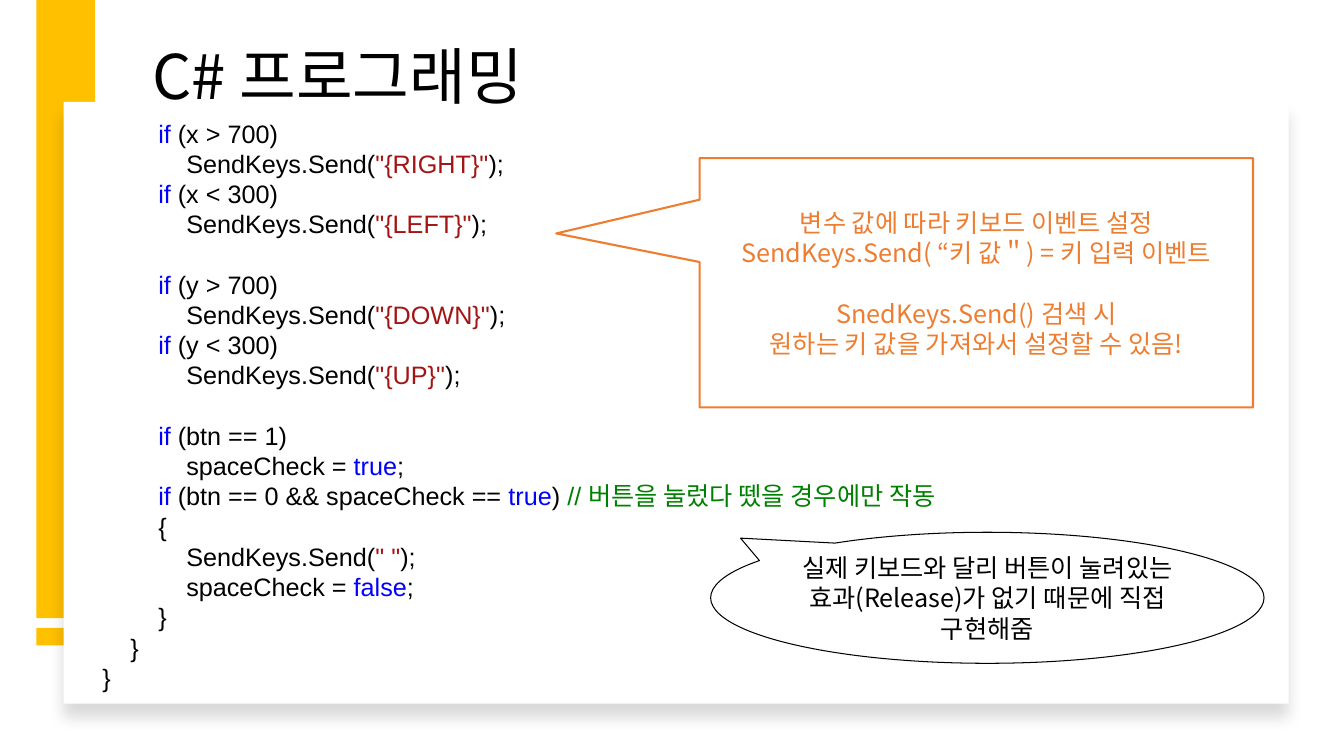
import pptx
import pptx.dml.color
import pptx.enum.shapes
import pptx.enum.text
import pptx.oxml
import pptx.oxml.ns
import pptx.util
from lxml import etree

Pt = pptx.util.Pt
Kind = pptx.enum.shapes.MSO_SHAPE
Align = pptx.enum.text.PP_ALIGN
Anchor = pptx.enum.text.MSO_ANCHOR
qn = pptx.oxml.ns.qn

HANGUL = "Noto Sans CJK KR"
BLACK, WHITE, GOLD, ORANGE = "000000", "FFFFFF", "FFC000", "ED7D31"
BLUE, RED, GREEN = "0000FF", "A31515", "008000"
LINE = 21.6  # height of one text line
STEP = 20  # indent of one code level


def color(code):
    return pptx.dml.color.RGBColor.from_string(code)


def tint(part):
    """Colour of one part of a code line."""
    if part in ("if", "true", "false"):
        return BLUE
    if part.startswith('"'):
        return RED
    return GREEN if part.startswith("//") else BLACK


class Deck:
    """Holds the text style and the current slide."""

    def __init__(self, wide, high):
        self.show = pptx.Presentation()
        self.show.slide_width, self.show.slide_height = Pt(wide), Pt(high)
        self.slide = self.show.slides.add_slide(self.show.slide_layouts[6])
        self.frame = {"word_wrap": True, "vertical_anchor": Anchor.MIDDLE}
        self.size = 18

    def shape(self, kind, box, fill=None, line=None, width=1.0, tip=()):
        item = self.slide.shapes.add_shape(kind, *map(Pt, box))
        item.shadow.inherit = False
        if fill:
            item.fill.solid()
            item.fill.fore_color.rgb = color(fill)
        else:
            item.fill.background()
        if line:
            item.line.color.rgb = color(line)
            item.line.width = Pt(width)
        else:
            item.line.fill.background()
        for spot, value in enumerate(tip):
            item.adjustments[spot] = value
        return item

    def card(self, box, fill):
        item = self.shape(Kind.RECTANGLE, box, fill)
        glow = item._element.spPr.find(qn("a:effectLst"))
        shade = etree.SubElement(
            glow, qn("a:outerShdw"), blurRad=str(Pt(11)), dist=str(Pt(10)),
            dir="5400000", algn="t", rotWithShape="0")
        tone = etree.SubElement(shade, qn("a:srgbClr"), val=BLACK)
        etree.SubElement(tone, qn("a:alpha"), val="15000")

    def text(self, box):
        return self.slide.shapes.add_textbox(*map(Pt, box))

    def label(self, item, rows, font, size=None, frame=None, **form):
        """Rows are (indent, [(text, colour), ...]); one with no runs is a gap."""
        body, gap, first = item.text_frame, 0, True
        for name, value in {**self.frame, **(frame or {})}.items():
            setattr(body, name, value)
        for indent, runs in rows:
            if not runs:
                gap = LINE
                continue
            para = body.paragraphs[0] if first else body.add_paragraph()
            looks = {"line_spacing": Pt(LINE), "space_before": Pt(gap), **form}
            for name, value in looks.items():
                setattr(para, name, value)
            para._p.get_or_add_pPr().set("marL", str(Pt(indent)))
            for words, tone in runs:
                run = para.add_run()
                run.text = words
                look = {"name": font, "size": Pt(size or self.size)}
                for name, value in look.items():
                    setattr(run.font, name, value)
                run.font.color.rgb = color(tone)
                etree.SubElement(run._r.get_or_add_rPr(), qn("a:ea"), typeface=HANGUL)
            gap, first = 0, False


CODE = [
    (4, "if| (x > 700)"),
    (5, 'SendKeys.Send(|"{RIGHT}"|);'),
    (4, "if| (x < 300)"),
    (5, 'SendKeys.Send(|"{LEFT}"|);'),
    (4, ""),
    (4, "if| (y > 700)"),
    (5, 'SendKeys.Send(|"{DOWN}"|);'),
    (4, "if| (y < 300)"),
    (5, 'SendKeys.Send(|"{UP}"|);'),
    (4, ""),
    (4, "if| (btn == 1)"),
    (5, "spaceCheck = |true|;"),
    (4, "if| (btn == 0 && spaceCheck == |true|) |// 버튼을 눌렀다 뗐을 경우에만 작동"),
    (4, "{"),
    (5, 'SendKeys.Send(|" "|);'),
    (5, "spaceCheck = |false|;"),
    (4, "}"),
    (3, "}"),
    (2, "}"),
]

NOTES = [
    "변수 값에 따라 키보드 이벤트 설정",
    "SendKeys.Send( “키 값＂) = 키 입력 이벤트",
    "",
    "SnedKeys.Send() 검색 시",
    "원하는 키 값을 가져와서 설정할 수 있음!",
]


def main():
    deck = Deck(960, 540)

    # Gold bars and white card
    for top, high in ((0, 441.5), (448.5, 12.5)):
        deck.shape(Kind.RECTANGLE, (26, top, 42, high), GOLD)
    deck.card((45.5, 72.7, 875, 430), WHITE)

    # Title
    title = deck.text((101.5, 15.8, 636, 81.4))
    deck.label(title, [(0, [("C# 프로그래밍", BLACK)])], HANGUL, 44, line_spacing=0.9)

    # Code
    code = deck.text((26, 59, 750, 443.5))
    rows = [(level * STEP, [(part, tint(part)) for part in line.split("|") if part])
            for level, line in CODE]
    deck.label(code, rows, "Arial",
               frame={"vertical_anchor": Anchor.TOP, "margin_top": Pt(3.6 + LINE)})

    # Callout on key events
    keys = deck.shape(Kind.RECTANGULAR_CALLOUT, (499.7, 113, 395.3, 178),
                      line=ORANGE, width=1.5, tip=(-0.759, -0.198))
    rows = [(0, [(note, ORANGE)] if note else []) for note in NOTES]
    deck.label(keys, rows, HANGUL, alignment=Align.CENTER)

    # Callout on button release
    free = deck.shape(Kind.OVAL_CALLOUT, (507.6, 380.2, 395.3, 93.6),
                      line=BLACK, width=0.75, tip=(-0.446, -0.455))
    words = "실제 키보드와 달리 버튼이 눌려있는 효과(Release)가 없기 때문에 직접 구현해줌"
    deck.label(free, [(0, [(words, BLACK)])], HANGUL, alignment=Align.CENTER)

    deck.show.save("out.pptx")


if __name__ == "__main__":
    main()
